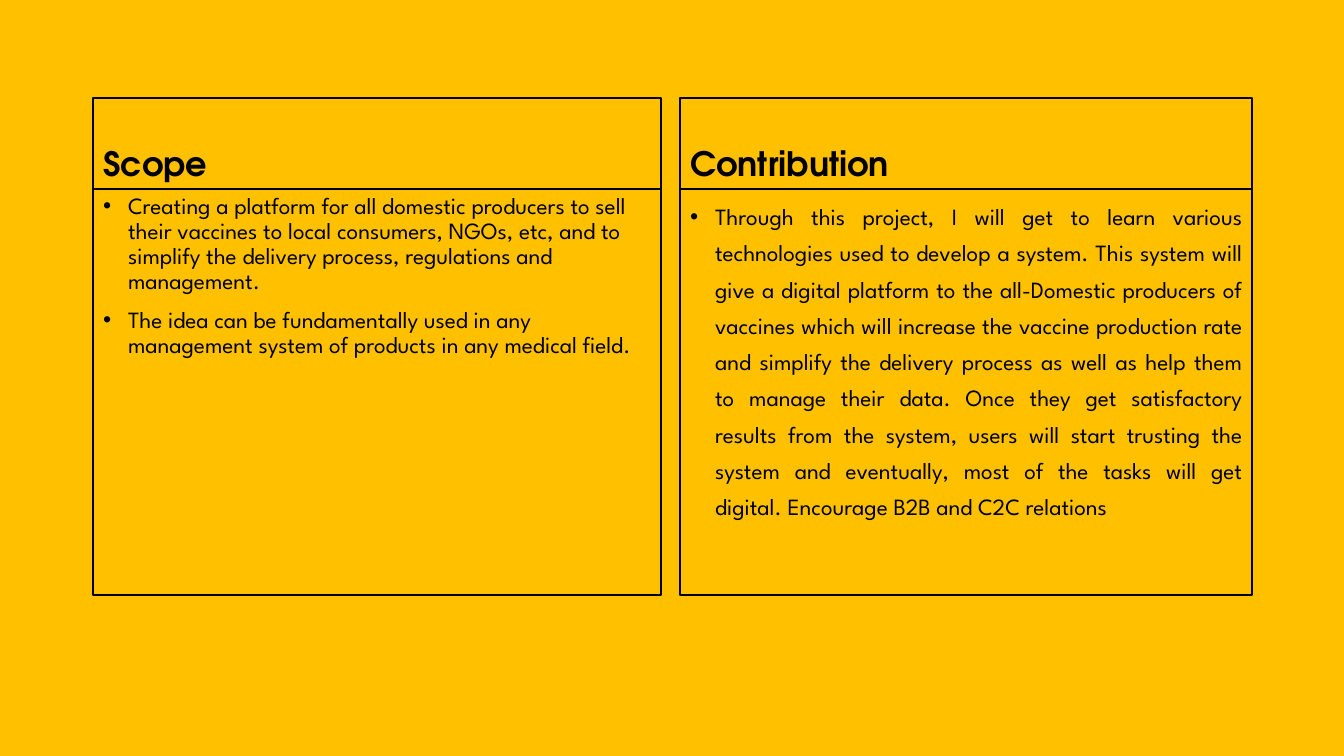
import pptx
import pptx.dml.color
import pptx.enum.text
import pptx.oxml.ns
import pptx.util
from lxml import etree

PX = 914400 / 100.8
COLORS = {"background": "FFC000", "ink": "000000"}
HEADING_FONT = "TeX Gyre Adventor"
BODY_FONT = "League Spartan"
HEADING_HEIGHT = 91
ALIGN = pptx.enum.text.PP_ALIGN
ANCHOR = pptx.enum.text.MSO_ANCHOR

SCOPE = [
    "Creating a platform for all domestic producers to sell their vaccines to local "
    "consumers, NGOs, etc, and to simplify the delivery process, regulations and management.",
    "The idea can be fundamentally used in any management system of products in any "
    "medical field.",
]
CONTRIBUTION = [
    "Through this project, I will get to learn various technologies used to develop a "
    "system. This system will give a digital platform to the all-Domestic producers of "
    "vaccines which will increase the vaccine production rate and simplify the delivery "
    "process as well as help them to manage their data. Once they get satisfactory results "
    "from the system, users will start trusting the system and eventually, most of the "
    "tasks will get digital. Encourage B2B and C2C relations",
]


def emu(px):
    return pptx.util.Emu(round(px * PX))


def color(name):
    return pptx.dml.color.RGBColor.from_string(COLORS[name])


def set_bullet(para, indent):
    properties = para._p.get_or_add_pPr()
    properties.set("marL", str(emu(indent)))
    properties.set("indent", str(-emu(indent)))
    font = etree.SubElement(properties, pptx.oxml.ns.qn("a:buFont"))
    font.set("typeface", "Arial")
    bullet = etree.SubElement(properties, pptx.oxml.ns.qn("a:buChar"))
    bullet.set("char", "•")


def fill_placeholder(shape, box, lines, font, size, bold=False, anchor=ANCHOR.TOP,
                     align=ALIGN.LEFT, spacing=0.9, after=0):
    """Place an outlined placeholder and format its paragraphs."""
    shape.left, shape.top, shape.width, shape.height = map(emu, box)
    shape.line.color.rgb = color("ink")
    shape.line.width = pptx.util.Pt(1.5)
    frame = shape.text_frame
    frame.text = "\n".join(lines)
    frame.word_wrap = True
    frame.auto_size = pptx.enum.text.MSO_AUTO_SIZE.NONE
    frame.vertical_anchor = anchor
    for para in frame.paragraphs:
        para.alignment = align
        para.line_spacing = spacing
        para.space_before = pptx.util.Pt(10)
        para.space_after = pptx.util.Pt(after)
        for span in para.runs:
            span.font.name = font
            span.font.size = pptx.util.Pt(size)
            span.font.bold = bold
            span.font.color.rgb = color("ink")


def add_column(heading, body, box, title, points, **body_format):
    """Stack a heading box on a bulleted body box."""
    left, top, width, height = box
    fill_placeholder(heading, (left, top, width, HEADING_HEIGHT), [title],
                     HEADING_FONT, 24, bold=True, anchor=ANCHOR.BOTTOM)
    fill_placeholder(body, (left, top + HEADING_HEIGHT, width, height - HEADING_HEIGHT),
                     points, BODY_FONT, 16.6, **body_format)
    for para in body.text_frame.paragraphs:
        set_bullet(para, 25)


def build_comparison(deck):
    page = deck.slides.add_slide(deck.slide_layouts.get_by_name("Comparison"))
    page.background.fill.solid()
    page.background.fill.fore_color.rgb = color("background")

    # The page has no title
    title = page.shapes.title.element
    title.getparent().remove(title)

    # Left and right columns
    _, *parts = [None, *page.placeholders]
    add_column(*parts[:2], (93, 98, 568, 497), "Scope", SCOPE)
    add_column(*parts[2:], (680, 98, 572, 497), "Contribution", CONTRIBUTION,
               align=ALIGN.JUSTIFY, spacing=1.3, after=8)

    # Empty footer placeholders are dropped
    for shape in list(page.placeholders):
        if not shape.text_frame.text:
            shape.element.getparent().remove(shape.element)


def main():
    deck = pptx.Presentation()
    deck.slide_width, deck.slide_height = emu(1344), emu(756)
    build_comparison(deck)
    deck.save("out.pptx")


if __name__ == "__main__":
    main()
